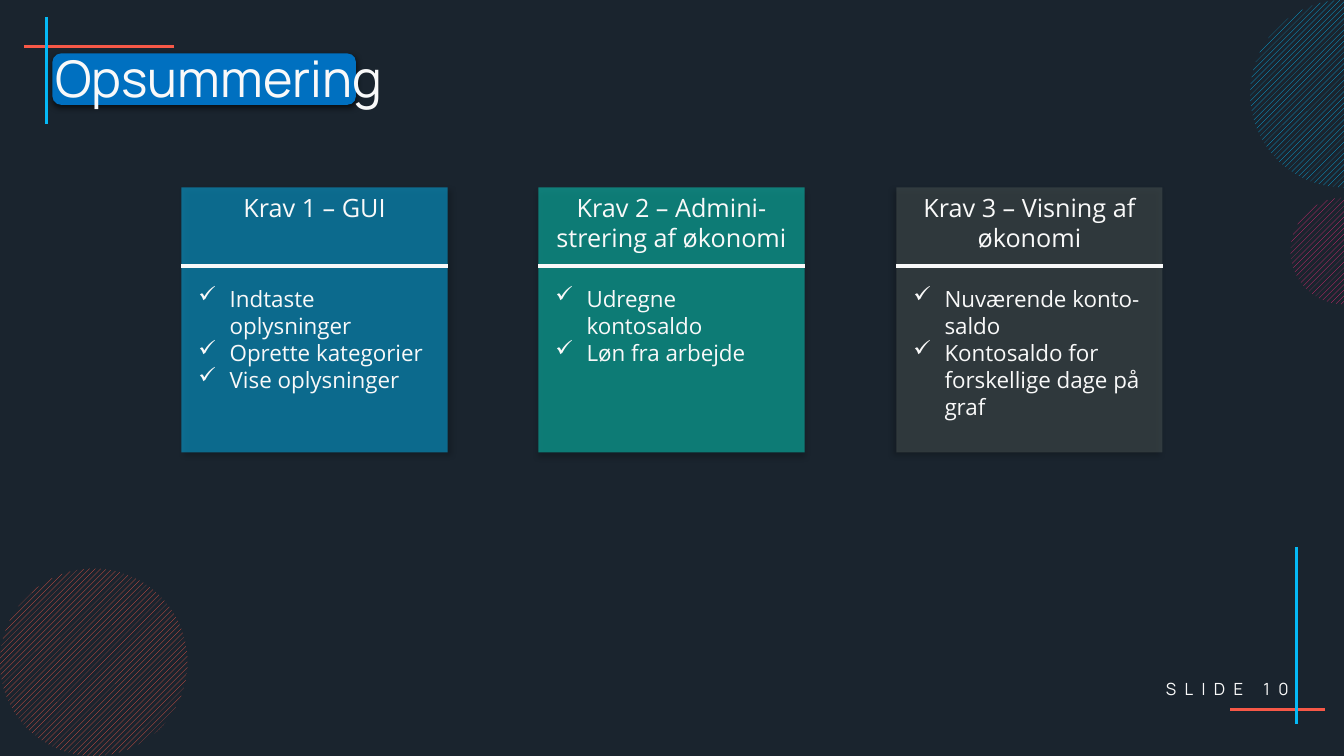
from lxml.etree import SubElement
from pptx import Presentation
from pptx.dml.color import RGBColor
from pptx.enum.dml import MSO_PATTERN
from pptx.enum.shapes import MSO_CONNECTOR, MSO_SHAPE
from pptx.enum.text import MSO_ANCHOR, PP_ALIGN
from pptx.oxml.ns import qn
from pptx.util import Inches, Pt

COLORS = {
    "background": "1A242E", "text": "F9F9F9", "coral": "F75847", "sky": "05B9F6",
    "pink": "EF2A79", "highlight": "0070C0", "teal": "08DAC6", "gray": "4B5554",
    "black": "000000",
}
TITLE = "Opsummering"
FOOTER = "SLIDE 10"
# Left edge, colour, shadow direction in degrees, heading, checked points
CARDS = [
    (1.8, "sky", 45, "Krav 1 – GUI",
     ["Indtaste oplysninger", "Oprette kategorier", "Vise oplysninger"]),
    (5.34, "teal", 90, "Krav 2 – Admini-strering af økonomi",
     ["Udregne kontosaldo", "Løn fra arbejde"]),
    (8.89, "gray", 135, "Krav 3 – Visning af økonomi",
     ["Nuværende konto-saldo", "Kontosaldo for forskellige dage på graf"]),
]
# Start x, start y, end x, end y, colour
ACCENT_LINES = [
    (1.73, 0.46, 0.24, 0.46, "coral"),
    (0.46, 1.23, 0.46, 0.17, "sky"),
    (12.2, 7.04, 13.14, 7.04, "coral"),
    (12.86, 5.43, 12.86, 7.18, "sky"),
]
# Left, top, diameter, colour
CIRCLES = [(0, 5.64, 1.86, "coral"), (12.8, 1.96, 1.06, "pink"), (12.4, 0, 1.86, "sky")]

CARD_TOP, CARD_WIDTH, CARD_HEIGHT = 1.86, 2.64, 2.63
RULE_TOP, POINTS_TOP, POINTS_INSET = 2.64, 2.78, 0.07


def color(name):
    return RGBColor.from_string(COLORS[name])


def add_alpha(color_element, percent):
    SubElement(color_element, qn("a:alpha"), val=str(percent * 1000))


def add_line(page, x1, y1, x2, y2, color_name, width):
    line = page.shapes.add_connector(
        MSO_CONNECTOR.STRAIGHT, Inches(x1), Inches(y1), Inches(x2), Inches(y2))
    line.line.color.rgb = color(color_name)
    line.line.width = Pt(width)
    SubElement(line._element.spPr, qn("a:effectLst"))


def add_plain_shape(page, kind, left, top, width, height):
    shape = page.shapes.add_shape(
        kind, Inches(left), Inches(top), Inches(width), Inches(height))
    shape.line.fill.background()
    shape.shadow.inherit = False
    return shape


def add_solid_shape(page, kind, bounds, color_name, shadow, opacity=100):
    """Add a filled shape; shadow is opacity, blur, distance and direction."""
    shape = add_plain_shape(page, kind, *bounds)
    shape.fill.solid()
    shape.fill.fore_color.rgb = color(color_name)
    properties = shape._element.spPr
    if opacity < 100:
        add_alpha(properties.find(qn("a:solidFill"))[0], opacity)
    shade, blur, distance, direction = shadow
    outer = SubElement(
        properties.find(qn("a:effectLst")), qn("a:outerShdw"),
        blurRad=str(Pt(blur)), dist=str(Pt(distance)), dir=str(direction * 60000),
        algn="ctr", rotWithShape="0")
    add_alpha(SubElement(outer, qn("a:srgbClr"), val=COLORS["black"]), shade)


def add_text(page, bounds, lines, font, size, align=PP_ALIGN.LEFT, anchor=MSO_ANCHOR.TOP):
    box = page.shapes.add_textbox(*map(Inches, bounds))
    frame = box.text_frame
    frame.word_wrap = True
    frame.vertical_anchor = anchor
    frame.text = "\n".join(lines)
    for para in frame.paragraphs:
        para.alignment = align
        para.font.name = font
        para.font.size = Pt(size)
        para.font.color.rgb = color("text")
    return frame.paragraphs


def add_check(para):
    properties = para._p.get_or_add_pPr()
    indent = Inches(0.31)
    properties.set("marL", str(indent))
    properties.set("indent", str(-indent))
    bullet = properties.makeelement(qn("a:buChar"), {"char": "✓"})
    properties.insert(0, bullet)


def add_card(page, left, color_name, direction, heading, points):
    add_solid_shape(page, MSO_SHAPE.RECTANGLE, (left, CARD_TOP, CARD_WIDTH, CARD_HEIGHT),
                    color_name, (40, 4, 3, direction), opacity=50)
    add_text(page, (left, CARD_TOP, CARD_WIDTH, 0.71), [heading],
             "Open Sans", 18, PP_ALIGN.CENTER)
    add_line(page, left, RULE_TOP, left + CARD_WIDTH, RULE_TOP, "text", 3)
    points_bounds = (left + POINTS_INSET, POINTS_TOP, CARD_WIDTH - 2 * POINTS_INSET, 1.45)
    for para in add_text(page, points_bounds, points, "Open Sans", 16):
        add_check(para)


def main():
    deck = Presentation()
    deck.slide_width, deck.slide_height = Inches(13.33), Inches(7.5)
    page = deck.slides.add_slide(deck.slide_layouts[6])
    page.background.fill.solid()
    page.background.fill.fore_color.rgb = color("background")

    for accent in ACCENT_LINES:
        add_line(page, *accent, 2)
    for left, top, diameter, color_name in CIRCLES:
        circle = add_plain_shape(page, MSO_SHAPE.OVAL, left, top, diameter, diameter)
        circle.fill.patterned()
        circle.fill.pattern = MSO_PATTERN.WIDE_UPWARD_DIAGONAL
        circle.fill.fore_color.rgb = color(color_name)
        circle.fill.back_color.rgb = color("background")

    footer = add_text(page, (10.8, 6.63, 2.08, 0.41), [FOOTER], "Manrope", 12,
                      PP_ALIGN.RIGHT, MSO_ANCHOR.MIDDLE)[0]
    footer.runs[0].font._element.set("spc", "600")

    add_solid_shape(page, MSO_SHAPE.ROUNDED_RECTANGLE, (0.52, 0.53, 3.01, 0.51),
                    "highlight", (63, 4.5, 1.5, 90))
    title = add_text(page, (0.45, 0.49, 12.43, 0.64), [TITLE], "Manrope", 36,
                     anchor=MSO_ANCHOR.MIDDLE)[0]
    title.line_spacing = 0.9
    title.space_before = Pt(10)

    for card in CARDS:
        add_card(page, *card)
    deck.save("out.pptx")


if __name__ == "__main__":
    main()
